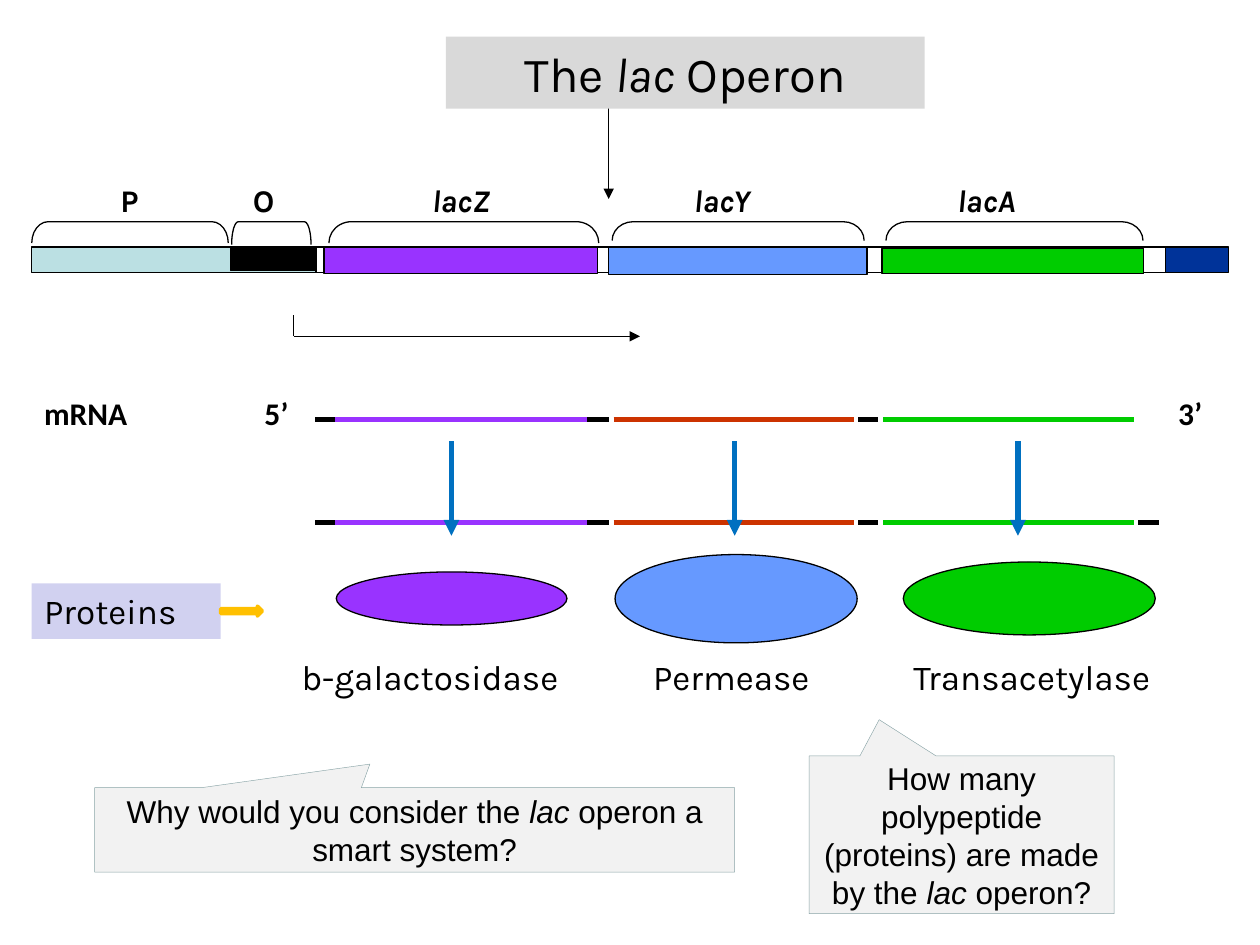
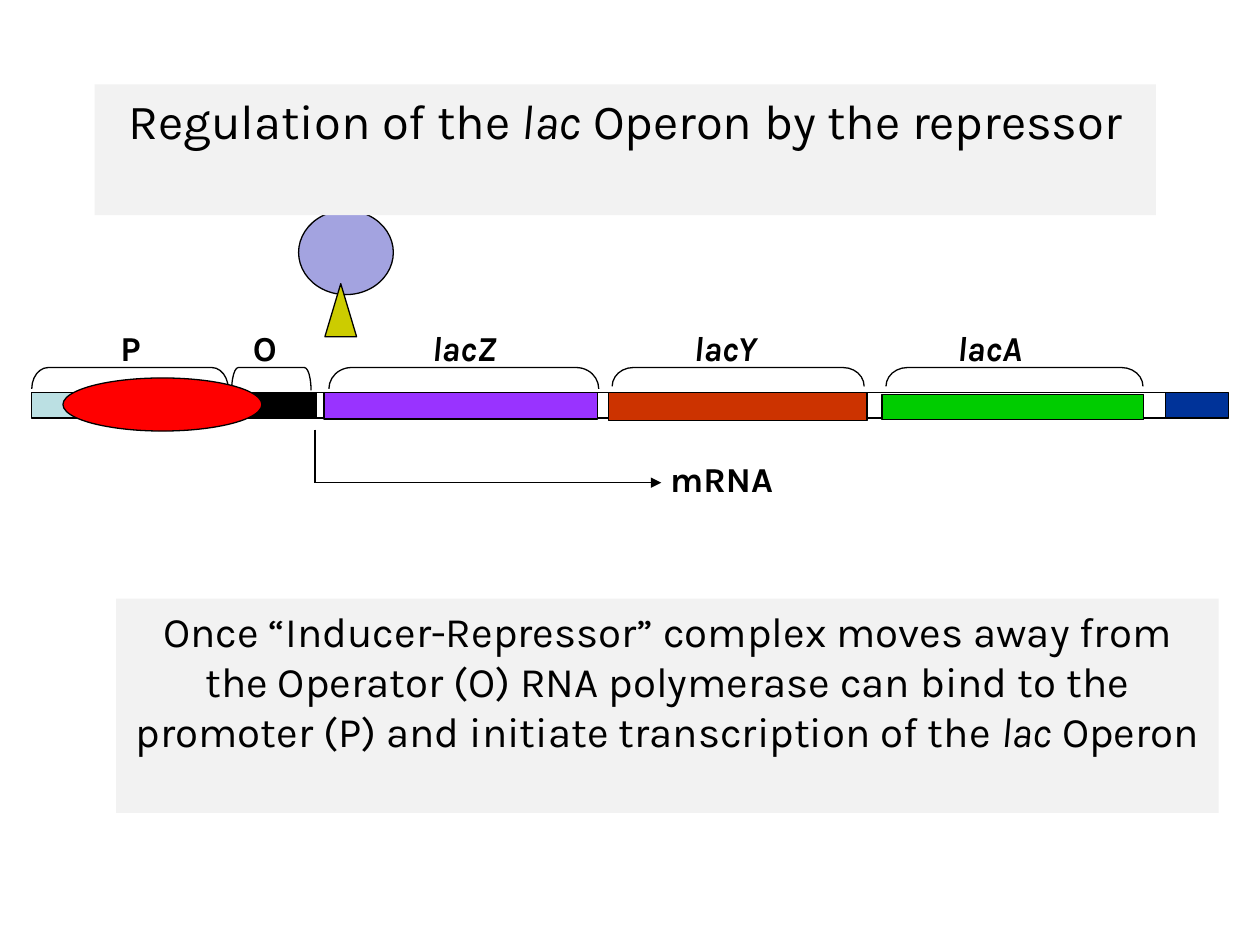
from lxml import etree
from pptx import Presentation
from pptx.dml.color import RGBColor
from pptx.enum.shapes import MSO_CONNECTOR, MSO_SHAPE
from pptx.enum.text import MSO_ANCHOR, PP_ALIGN
from pptx.oxml.ns import qn
from pptx.util import Cm, Pt

RECT, OVAL = MSO_SHAPE.RECTANGLE, MSO_SHAPE.OVAL
TRIANGLE, ARROW = MSO_SHAPE.ISOSCELES_TRIANGLE, MSO_SHAPE.RIGHT_ARROW
CALLOUT, BRACKET = MSO_SHAPE.RECTANGULAR_CALLOUT, MSO_SHAPE.LEFT_BRACKET
STRAIGHT = MSO_CONNECTOR.STRAIGHT
TOP, MIDDLE = MSO_ANCHOR.TOP, MSO_ANCHOR.MIDDLE
LEFT, CENTER = PP_ALIGN.LEFT, PP_ALIGN.CENTER
TITLE_ONLY = 5

COLORS = {
    "black": "000000", "promoter": "BBE0E3", "end": "003399",
    "lacZ": "9933FF", "lacY": "6699FF", "lacA": "00CC00", "red_gene": "CC3300",
    "title": "D9D9D9", "panel": "F2F2F2", "panel_line": "89A4A7",
    "proteins": "D1D1F0", "gold": "FFC000", "blue": "0070C0",
    "polymerase": "FF0000", "repressor": "A3A3E0", "inducer": "CCCC00",
}


def rgb(name):
    return RGBColor.from_string(COLORS[name])


class Deck:
    """Shared style and the slide being drawn; all lengths are in cm."""

    def __init__(self):
        self.prs = Presentation()
        self.prs.slide_width, self.prs.slide_height = Cm(25.4), Cm(19.05)

    def new_slide(self):
        self.slide = self.prs.slides.add_slide(self.prs.slide_layouts[TITLE_ONLY])
        self.shapes = self.slide.shapes

    def set_text(self, sp, text, size, font="Karla", bold=False, align=LEFT, anchor=TOP):
        """Fill a shape with text; parts between bars are italic."""
        tf = sp.text_frame
        tf.word_wrap = True
        tf.vertical_anchor = anchor
        tf.margin_left = tf.margin_right = Cm(0.25)
        tf.margin_top = tf.margin_bottom = Cm(0.13)
        p = tf.paragraphs[0]
        p.alignment = align
        for i, part in enumerate(text.split("|")):
            if part:
                r = p.add_run()
                r.text = part
                r.font.name, r.font.size = font, Pt(size)
                r.font.bold, r.font.italic = bold, i % 2 == 1
                r.font.color.rgb = rgb("black")

    def title(self, text, x, y, w, h, fill):
        sp = self.shapes.title
        sp.left, sp.top, sp.width, sp.height = Cm(x), Cm(y), Cm(w), Cm(h)
        sp.fill.solid()
        sp.fill.fore_color.rgb = rgb(fill)
        self.set_text(sp, text, 28, align=CENTER)
        sp._element.getparent().append(sp._element)  # bring to front

    def text(self, text, x, y, w, size, **style):
        h = 1.02 if size == 18 else 1.12
        sp = self.shapes.add_textbox(Cm(x), Cm(y), Cm(w), Cm(h))
        self.set_text(sp, text, size, **style)

    def shape(self, kind, x, y, w, h, fill=None, line="black", width=0.75):
        sp = self.shapes.add_shape(kind, Cm(x), Cm(y), Cm(w), Cm(h))
        sp.shadow.inherit = False
        if fill:
            sp.fill.solid()
            sp.fill.fore_color.rgb = rgb(fill)
        else:
            sp.fill.background()
        if line:
            sp.line.color.rgb = rgb(line)
            sp.line.width = Pt(width)
        else:
            sp.line.fill.background()
        return sp

    def line(self, x1, y1, x2, y2, color="black", width=0.75, arrow=False):
        c = self.shapes.add_connector(STRAIGHT, Cm(x1), Cm(y1), Cm(x2), Cm(y2))
        c.line.color.rgb = rgb(color)
        c.line.width = Pt(width)
        sp_pr = c._element.spPr
        if arrow:
            etree.SubElement(sp_pr.find(qn("a:ln")), qn("a:tailEnd"), type="triangle")
        etree.SubElement(sp_pr, qn("a:effectLst"))

    def bracket(self, x, y, length, depth):
        """Bracket that opens downwards, with its top left corner at x, y."""
        sp = self.shape(BRACKET, x + (length - depth) / 2, y + (depth - length) / 2,
                        depth, length)
        sp.rotation = 90
        sp.adjustments[0] = length / 12 / depth

    def callout(self, text, x, y, w, h, tip):
        sp = self.shape(CALLOUT, x, y, w, h, "panel", "panel_line", 0.25)
        sp.adjustments[0], sp.adjustments[1] = tip
        self.set_text(sp, text, 18, font="Arial", align=CENTER, anchor=MIDDLE)

    def operon(self, y, lac_y, size):
        """DNA strip at height y with brackets and gene labels."""
        for x, dy, w, h, fill in (
            (0.64, 0, 5.74, 0.51, "promoter"), (6.37, 0, 17.12, 0.51, None),
            (23.5, 0, 1.27, 0.51, "end"), (4.65, 0, 1.7, 0.48, "black"),
            (6.53, 0, 5.51, 0.53, "lacZ"), (12.27, 0, 5.21, 0.56, lac_y),
            (17.78, 0.03, 5.28, 0.51, "lacA"),
        ):
            self.shape(RECT, x, y + dy, w, h, fill)
        for label, x, length, depth, label_x, label_w in (
            ("P", 0.64, 3.96, 0.43, 2.18, 1.47),
            ("O", 4.67, 1.6, 0.46, 4.85, 1.47),
            ("|lacZ|", 6.63, 5.44, 0.43, 8.46, 2.54),
            ("|lacY|", 12.34, 5.08, 0.38, 13.74, 2.54),
            ("|lacA|", 17.86, 5.18, 0.38, 19.05, 2.54),
        ):
            self.bracket(x, y - 0.51, length, depth)
            self.text(label, label_x, y - 1.47, label_w, size, bold=True)

    def start_site(self, x, top, bottom):
        """Bent arrow showing where transcription starts."""
        self.line(x, top, x, bottom)
        self.line(x, bottom, x + 6.98, bottom, arrow=True)

    def strand(self, y, tail=False):
        """mRNA strand: coloured genes with black spacers."""
        segments = [
            (6.35, 6.76, "black"), (6.76, 11.84, "lacZ"), (11.84, 12.27, "black"),
            (12.37, 17.22, "red_gene"), (17.3, 17.7, "black"), (17.81, 22.86, "lacA"),
        ]
        if tail:
            segments.append((22.94, 23.37, "black"))
        for x1, x2, color in segments:
            self.line(x1, y, x2, y, color, 3)


def structure_slide(deck):
    deck.new_slide()
    deck.operon(4.98, "lacY", 18)
    deck.start_site(5.92, 6.35, 6.78)
    deck.line(12.27, 2.11, 12.27, 4.01, arrow=True)

    # mRNA strands
    deck.strand(10.54, tail=True)
    deck.strand(8.46)
    for label, x, w in (("mRNA", 0.64, 3.38), ("5’", 5.08, 1.27), ("3’", 23.5, 1.27)):
        deck.text(label, x, 7.82, w, 18, font="Calibri", bold=True)

    # Proteins
    sp = deck.shape(RECT, 0.64, 11.76, 3.81, 1.12, "proteins", None)
    deck.set_text(sp, "Proteins", 20)
    deck.shape(ARROW, 4.45, 12.22, 0.84, 0.2, "gold", "gold", 2)
    for i, (name, fill, x, y, w, h, label_x, label_w) in enumerate((
        ("b-galactosidase", "lacZ", 6.78, 11.53, 4.65, 1.07, 5.28, 6.78),
        ("Permease", "lacY", 12.4, 11.18, 4.88, 1.78, 11.94, 5.61),
        ("Transacetylase", "lacA", 18.21, 11.33, 5.08, 1.47, 17.27, 7.06),
    )):
        deck.shape(OVAL, x, y, w, h, fill)
        deck.text(name, label_x, 13.08, label_w, 20, align=CENTER)
        arrow_x = 9.1 + 5.71 * i
        deck.line(arrow_x, 8.89, arrow_x, 10.8, "blue", 3, arrow=True)

    # Questions
    deck.callout("How many polypeptide (proteins) are made by the |lac |operon?",
                 16.31, 15.24, 6.15, 3.18, (-0.27, -0.73))
    deck.callout("Why would you consider the |lac |operon a smart system?",
                 1.91, 15.88, 12.9, 1.7, (-0.07, -0.78))
    deck.title("The |lac| Operon", 8.99, 0.74, 9.65, 1.45, "title")


def regulation_slide(deck):
    deck.new_slide()
    sp = deck.shape(RECT, 2.34, 12.07, 22.23, 4.32, "panel", None)
    deck.set_text(sp, "Once “Inducer-Repressor” complex moves away from the Operator (O) "
                  "RNA polymerase can bind to the promoter (P) and initiate "
                  "transcription of the |lac| Operon", 24, align=CENTER)
    deck.operon(7.92, "red_gene", 20)

    # Polymerase and transcription
    deck.shape(OVAL, 1.27, 7.62, 4.01, 1.07, "polymerase")
    deck.start_site(6.35, 8.66, 9.73)
    deck.text("mRNA", 13.26, 9.09, 3.25, 20, bold=True)

    # Repressor with inducer
    deck.shape(OVAL, 6.02, 4.24, 1.91, 1.7, "repressor")
    deck.shape(TRIANGLE, 6.55, 5.72, 0.64, 1.07, "inducer")
    deck.title("Regulation of the |lac| Operon by the repressor",
               1.91, 1.7, 21.39, 2.64, "panel")


def main():
    deck = Deck()
    structure_slide(deck)
    regulation_slide(deck)
    deck.prs.save("out.pptx")


if __name__ == "__main__":
    main()
